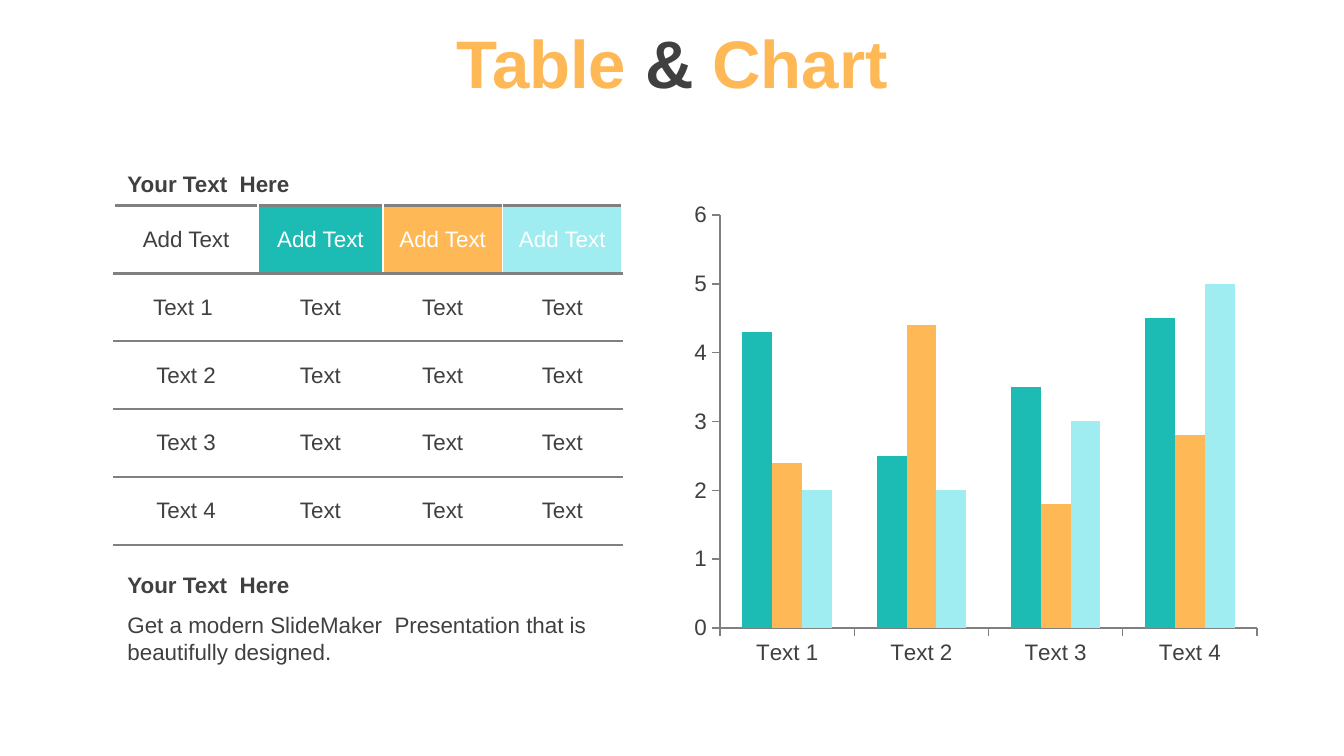
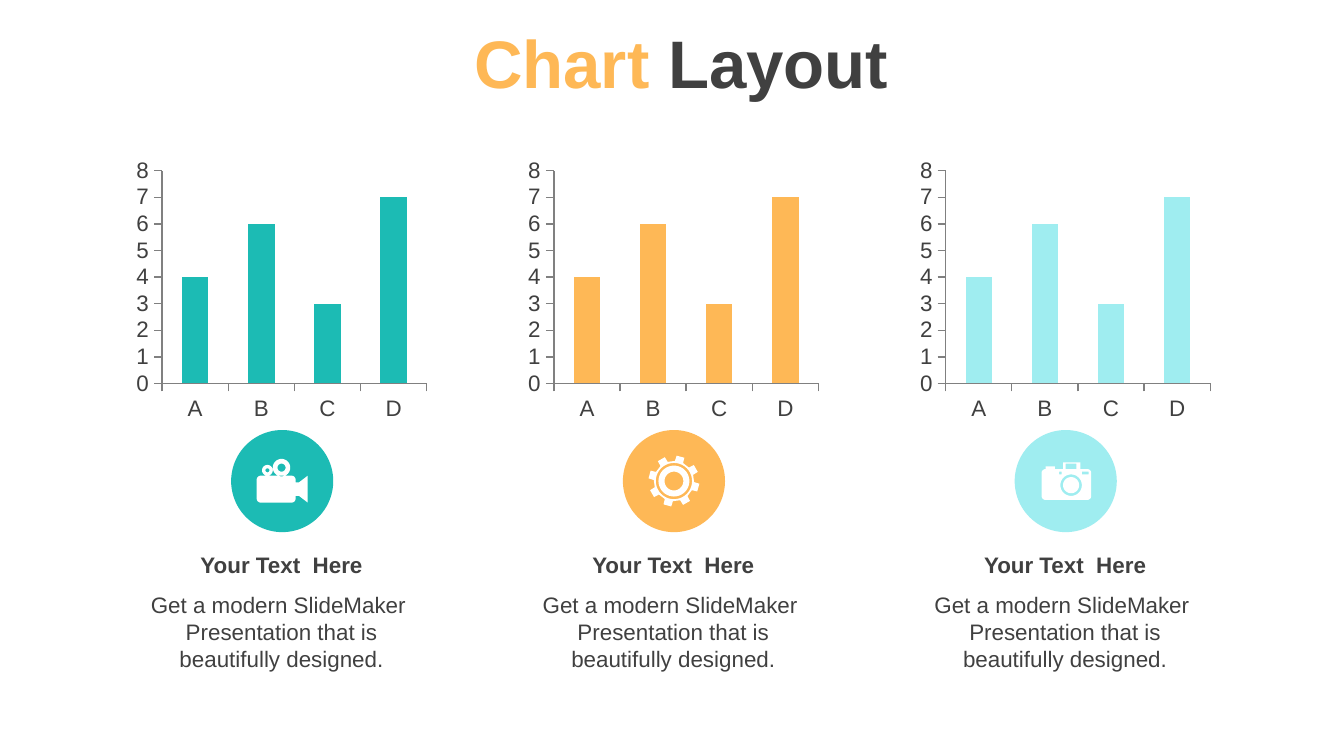
import math
from lxml import etree
from pptx import Presentation
from pptx.chart.data import CategoryChartData
from pptx.dml.color import RGBColor
from pptx.enum.chart import XL_CHART_TYPE, XL_TICK_MARK
from pptx.enum.shapes import MSO_SHAPE
from pptx.enum.text import MSO_ANCHOR, MSO_AUTO_SIZE, PP_ALIGN
from pptx.oxml.ns import qn
from pptx.util import Emu, Pt

LEFT, CENTER = PP_ALIGN.LEFT, PP_ALIGN.CENTER
TOP, MIDDLE = MSO_ANCHOR.TOP, MSO_ANCHOR.MIDDLE
GROW, OVAL = MSO_AUTO_SIZE.SHAPE_TO_FIT_TEXT, MSO_SHAPE.OVAL
CLUSTER = XL_CHART_TYPE.COLUMN_CLUSTERED
STACK = XL_CHART_TYPE.COLUMN_STACKED
OUT, NONE = XL_TICK_MARK.OUTSIDE, XL_TICK_MARK.NONE

# Shared style: 200 px to the inch
PX = 4572
WIDE, HIGH = 2000, 1125
FONT = "Arial"
TEAL, GOLD, AQUA = "1CBBB4", "FEB856", "9FEDF0"
DARK, GRAY, WHITE = "404040", "808080", "FFFFFF"
HUES = [TEAL, GOLD, AQUA]
HEAD = "Your Text  Here"
BODY = "Get a modern SlideMaker  Presentation that is beautifully designed."


def px(n):
    return Emu(round(n * PX))


def rgb(code):
    return RGBColor.from_string(code)


def write(para, text, size=12, color=DARK, bold=False, align=LEFT):
    para.alignment = align
    run = para.add_run()
    run.text = text
    font = run.font
    font.name, font.size, font.bold = FONT, Pt(size), bold
    font.color.rgb = rgb(color)


# Outlines for the icons, in px around the icon's centre
def ring(x, y, r, n=40):
    turns = [math.tau * i / n for i in range(n)]
    return [(x + r * math.cos(t), y + r * math.sin(t)) for t in turns]


def rect(x1, y1, x2, y2, r=0):
    if not r:
        return [(x1, y1), (x2, y1), (x2, y2), (x1, y2)]
    mids = [(x2 - r, y2 - r), (x1 + r, y2 - r), (x1 + r, y1 + r), (x2 - r, y1 + r)]
    pts = []
    for i, (x, y) in enumerate(mids):
        for step in range(7):
            t = math.radians(90 * i + 15 * step)
            pts.append((x + r * math.cos(t), y + r * math.sin(t)))
    return pts


def teeth(root=30, tip=38, count=8, first=-75):
    pts = []
    for i in range(count):
        mid = first + 360 / count * i
        for off, r in [(-12, root), (-9, tip), (9, tip), (12, root)]:
            t = math.radians(mid + off)
            pts.append((r * math.cos(t), r * math.sin(t)))
    return pts


FILM = [
    rect(-38, -8, 20, 32, 6),
    [(20, 2), (25, 2), (38, -8), (38, 32), (25, 22), (20, 22)],
    ring(-22, -16, 8), ring(-22, -16, 3),
    ring(-1, -20, 13), ring(-1, -20, 6),
]
GEAR = [teeth()] + [ring(0, 0, r) for r in (27, 23, 14)]
PHOTO = [
    rect(-36, -18, 38, 28, 6),
    ring(8, 6, 16), ring(8, 6, 12),
    rect(-10, -14, -6, -10), rect(24, -14, 34, -10),
    rect(-4, -28, 22, -18), rect(0, -26, 16, -18),
    rect(-30, -22, -16, -18),
]


class Deck:
    def __init__(self):
        self.prs = Presentation()
        self.prs.slide_width, self.prs.slide_height = px(WIDE), px(HIGH)

    def page(self, *title):
        self.slide = self.prs.slides.add_slide(self.prs.slide_layouts[6])
        self.shapes = self.slide.shapes
        fill = self.slide.background.fill
        fill.solid()
        fill.fore_color.rgb = rgb(WHITE)
        self.text(0, 6, WIDE, 170, title, anchor=MIDDLE, grow=False,
                  size=36, bold=True, align=CENTER)

    def text(self, x, y, w, h, runs, anchor=TOP, grow=True, **look):
        box = self.shapes.add_textbox(px(x), px(y), px(w), px(h))
        frame = box.text_frame
        frame.word_wrap = True
        frame.vertical_anchor = anchor
        if grow:
            frame.auto_size = GROW
        for words, color in runs:
            write(frame.paragraphs[0], words, color=color, **look)

    def note(self, x, y, w, h, align=LEFT):
        self.text(x, y, w, 60, [(HEAD, DARK)], bold=True, align=align)
        self.text(x, y + 60, w, h, [(BODY, DARK)], align=align)

    def paint(self, shape, color):
        shape.shadow.inherit = False
        shape.fill.solid()
        shape.fill.fore_color.rgb = rgb(color)
        shape.line.fill.background()

    def badge(self, x, y, size, color, icon):
        disc = self.shapes.add_shape(OVAL, px(x), px(y), px(size), px(size))
        self.paint(disc, color)
        mid_x, mid_y = x + size / 2, y + size / 2
        paths = [[(px(mid_x + a), px(mid_y + b)) for a, b in path] for path in icon]
        pen = self.shapes.build_freeform(*paths[0][0])
        for i, path in enumerate(paths):
            if i:
                pen.move_to(*path[0])
            pen.add_line_segments(path[1:], close=True)
        self.paint(pen.convert_to_shape(), WHITE)

    def edge(self, cell, top, base):
        props = cell._tc.get_or_add_tcPr()
        sides = [("L", WHITE, 1), ("R", WHITE, 1), ("T", GRAY, top), ("B", GRAY, base)]
        for i, (side, color, width) in enumerate(sides):
            line = etree.Element(qn("a:ln" + side), w=str(Pt(width)))
            fill = etree.SubElement(line, qn("a:solidFill"))
            etree.SubElement(fill, qn("a:srgbClr"), val=color)
            props.insert(i, line)

    def table(self, x, y, cols, tall, rows, fills):
        frame = self.shapes.add_table(len(rows), len(cols), px(x), px(y),
                                      px(sum(cols)), px(tall * len(rows)))
        grid = frame.table
        grid.first_row = grid.horz_banding = False
        for col, width in zip(grid.columns, cols):
            col.width = px(width)
        last = len(rows) - 1
        for r, row in enumerate(rows):
            grid.rows[r].height = px(tall)
            for c, words in enumerate(row):
                cell = grid.cell(r, c)
                back = fills[c] if r == 0 else WHITE
                cell.fill.solid()
                cell.fill.fore_color.rgb = rgb(back)
                cell.vertical_anchor = MIDDLE
                ink = DARK if back == WHITE else WHITE
                write(cell.text_frame.paragraphs[0], words, color=ink, align=CENTER)
                self.edge(cell, 1.5 if r < 2 else 1, 1.5 if r in (0, last) else 1)

    def chart(self, x, y, w, h, kind, cats, rows, hues, top):
        data = CategoryChartData()
        data.categories = cats
        for i, vals in enumerate(rows, 1):
            data.add_series(f"Series {i}", vals)
        frame = self.shapes.add_chart(kind, px(x), px(y), px(w), px(h), data)
        chart = frame.chart
        chart.has_legend = chart.has_title = False
        chart.font.name, chart.font.size = FONT, Pt(18)
        plot = chart.plots[0]
        plot.vary_by_categories = False
        plot.gap_width = 150
        plot.overlap = 100 if kind == STACK else 0
        for line, hue in zip(plot.series, hues):
            line.format.fill.solid()
            line.format.fill.fore_color.rgb = rgb(hue)
        for axis in (chart.category_axis, chart.value_axis):
            axis.has_major_gridlines = False
            axis.major_tick_mark, axis.minor_tick_mark = OUT, NONE
            axis.format.line.color.rgb = rgb(GRAY)
            font = axis.tick_labels.font
            font.name, font.size = FONT, Pt(12)
            font.color.rgb = rgb(DARK)
        scale = chart.value_axis
        scale.minimum_scale, scale.maximum_scale, scale.major_unit = 0, top, 1


def main():
    deck = Deck()

    # Slide 1: table and chart
    deck.page(("Table ", GOLD), ("&", DARK), (" Chart", GOLD))
    deck.text(170, 244, 364, 60, [(HEAD, DARK)], bold=True)
    names = ["Text 1 ", "Text 2", "Text 3", "Text 4"]
    rows = [["Add Text"] * 4] + [[name] + ["Text"] * 3 for name in names]
    deck.table(170, 306, [214, 186, 178, 178], 101, rows, [WHITE] + HUES)
    vals = [(4.3, 2.5, 3.5, 4.5), (2.4, 4.4, 1.8, 2.8), (2, 2, 3, 5)]
    cats = [name.strip() for name in names]
    deck.chart(1016, 288, 872, 716, CLUSTER, cats, vals, HUES, 6)
    deck.note(170, 840, 752, 100)

    # Slide 2: three charts, each with a badge and a note
    deck.page((" Chart ", GOLD), ("Layout", DARK))
    for i, (hue, icon) in enumerate(zip(HUES, [FILM, GEAR, PHOTO])):
        x = 188 + 583 * i
        deck.chart(x + 6, 228, 450, 406, STACK, list("ABCD"), [(4, 6, 3, 7)], [hue], 8)
        deck.badge(x + 156, 640, 152, hue, icon)
        deck.note(x, 810, 462, 142, align=CENTER)

    deck.prs.save("out.pptx")


if __name__ == "__main__":
    main()
